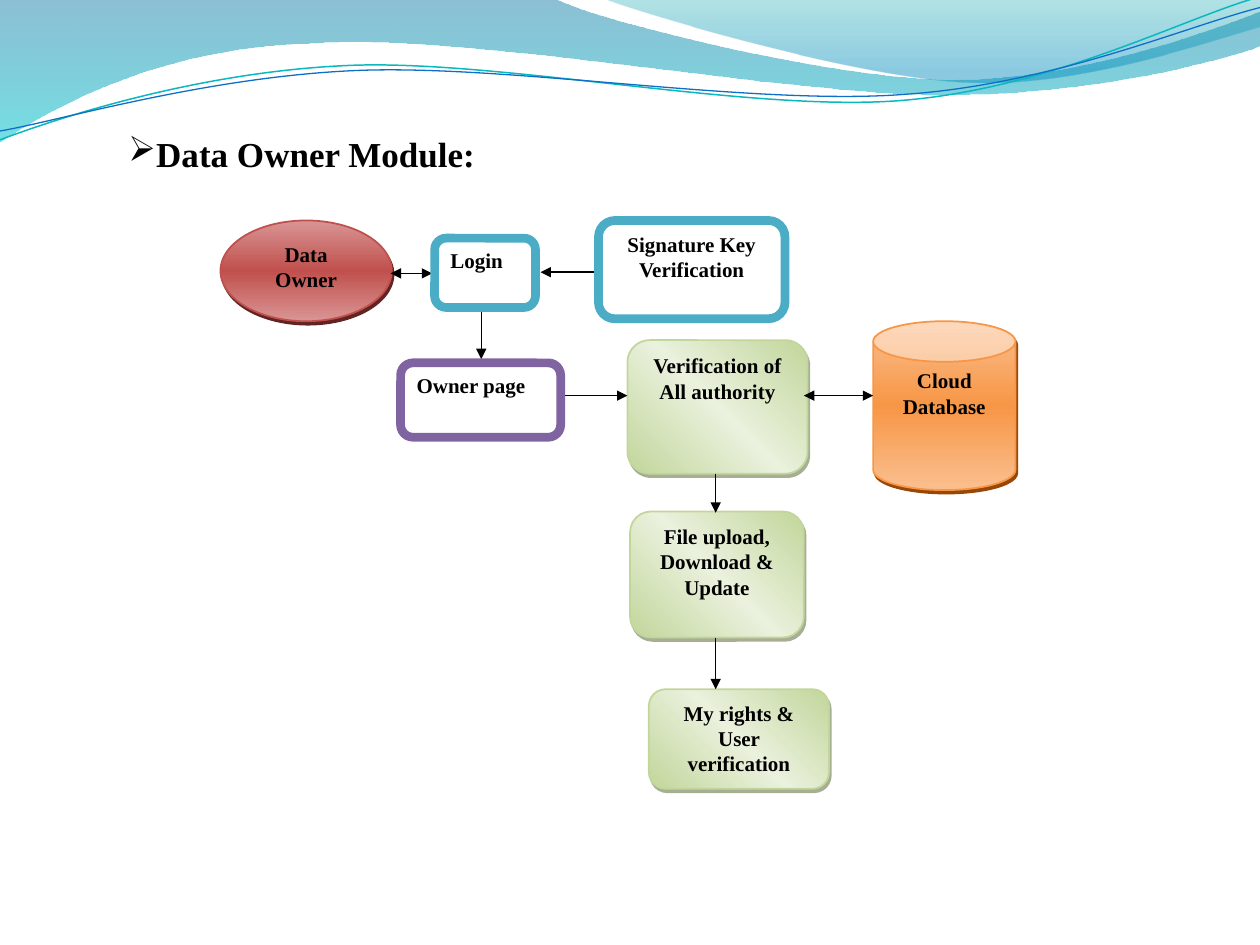
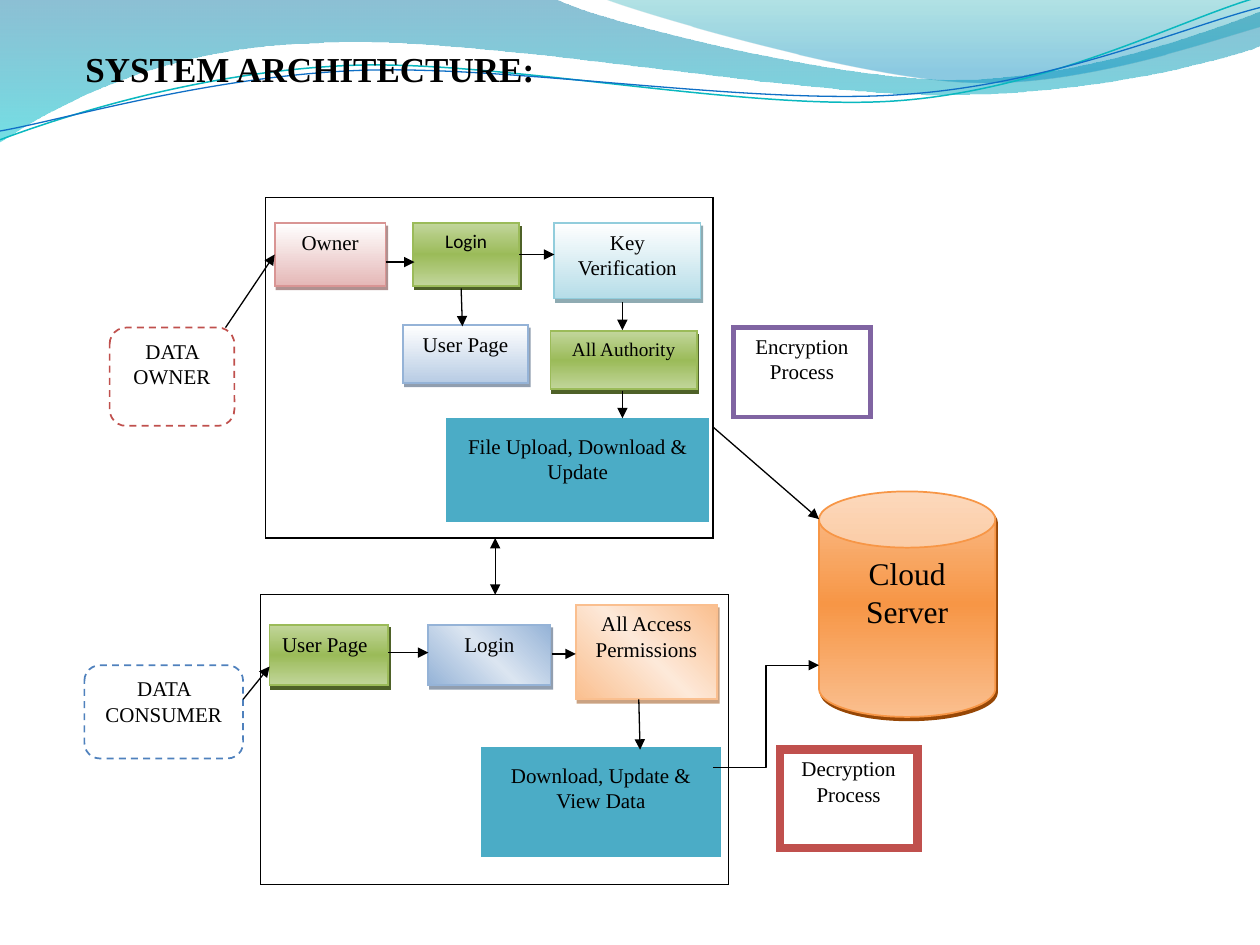
from dataclasses import dataclass
from lxml import etree
from pptx import Presentation
from pptx import util as u
from pptx.dml.color import RGBColor
from pptx.enum import dml, shapes, text
from pptx.oxml import ns, parse_xml

CELL = u.Inches(0.1)
COLS, ROWS = 100, 75
SERIF, SANS = "Times New Roman", "Calibri"
RECT = shapes.MSO_SHAPE.RECTANGLE
ROUND = shapes.MSO_SHAPE.ROUNDED_RECTANGLE
OVAL = shapes.MSO_SHAPE.OVAL
CAN = shapes.MSO_SHAPE.CAN
LEFT, MID = text.PP_ALIGN.LEFT, text.PP_ALIGN.CENTER

BLACK = RGBColor(0x00, 0x00, 0x00)
WHITE = RGBColor(0xFF, 0xFF, 0xFF)
SEA = RGBColor(0x00, 0x74, 0xA1)
AQUA = RGBColor(0x00, 0xC6, 0xCF)
TEAL = RGBColor(0x00, 0xA1, 0xA9)
SKY = RGBColor(0x00, 0x8B, 0xBF)
CYAN = RGBColor(0x0A, 0xB8, 0xBF)
BLUE = RGBColor(0x0F, 0x6F, 0xC6)
RED = RGBColor(0xC0, 0x50, 0x4D)
ROSE = RGBColor(0xD9, 0x95, 0x94)
BLUSH = RGBColor(0xE5, 0xB8, 0xB7)
WINE = RGBColor(0x62, 0x24, 0x23)
LEAF = RGBColor(0x9B, 0xBB, 0x59)
SAGE = RGBColor(0xC2, 0xD6, 0x9B)
MIST = RGBColor(0xEA, 0xF1, 0xDD)
MOSS = RGBColor(0x4E, 0x61, 0x28)
AMBER = RGBColor(0xF7, 0x96, 0x46)
PEACH = RGBColor(0xFA, 0xBF, 0x8F)
CREAM = RGBColor(0xFD, 0xE9, 0xD9)
RUST = RGBColor(0x97, 0x47, 0x06)
LAKE = RGBColor(0x4B, 0xAC, 0xC6)
POOL = RGBColor(0x92, 0xCD, 0xDC)
ICE = RGBColor(0xB6, 0xDD, 0xE8)
DEEP = RGBColor(0x20, 0x58, 0x67)
PLUM = RGBColor(0x80, 0x64, 0xA2)
STEEL = RGBColor(0x4F, 0x81, 0xBD)
HAZE = RGBColor(0x95, 0xB3, 0xD7)
FROST = RGBColor(0xB8, 0xCC, 0xE4)
PALE = RGBColor(0xDB, 0xE5, 0xF1)
NAVY = RGBColor(0x24, 0x3F, 0x60)


@dataclass
class Style:
    fill: tuple
    line: RGBColor
    width: float = 1
    angle: int = 90
    shade: RGBColor = None
    alpha: int = 50
    dash: bool = False


@dataclass
class Font:
    size: int = 12
    bold: bool = False
    face: str = SERIF
    align: int = MID


def glow(edge, core, line, shade):
    return Style((edge, core, edge), line, shade=shade, alpha=100)


def sheen(edge, core, shade):
    return Style((edge, core, edge), edge, angle=315, shade=shade)


def fade(base, line, shade):
    return Style((WHITE, base), line, shade=shade)


def plain(line, width, dash=False, fill=WHITE):
    return Style((fill,), line, width, dash=dash)


ORANGE = glow(PEACH, AMBER, AMBER, RUST)
GREEN = glow(SAGE, LEAF, LEAF, MOSS)
SOFT = sheen(SAGE, MIST, MOSS)
FRAME = plain(BLACK, 0.75)
BLOCK = plain(LAKE, 10, fill=LAKE)
BODY, BOLD = Font(), Font(bold=True)


def cells(*nums):
    return [round(n * CELL) for n in nums]


def tint(shape, stops, angle):
    shape.fill.gradient()
    old = shape.element.spPr.find(ns.qn("a:gradFill"))
    marks = "".join(
        f'<a:gs pos="{pos * 1000}"><a:srgbClr val="{hue}">'
        f'<a:alpha val="{alpha * 1000}"/></a:srgbClr></a:gs>'
        for pos, hue, alpha in stops)
    new = parse_xml(
        f'<a:gradFill {ns.nsdecls("a")} rotWithShape="1"><a:gsLst>{marks}</a:gsLst>'
        f'<a:lin ang="{angle * 60000}" scaled="0"/></a:gradFill>')
    old.getparent().replace(old, new)


def drop(shape, hue, alpha):
    glass = shape.element.spPr.find(ns.qn("a:effectLst"))
    glass.append(parse_xml(
        f'<a:outerShdw {ns.nsdecls("a")} blurRad="0" dist="{u.Pt(2.2)}" '
        f'dir="{63 * 60000}" algn="ctr" rotWithShape="0"><a:srgbClr val="{hue}">'
        f'<a:alpha val="{alpha * 1000}"/></a:srgbClr></a:outerShdw>'))


def write(par, words, font):
    run = par.add_run()
    run.text = words
    run.font.size = u.Pt(font.size)
    run.font.bold = font.bold
    run.font.name = font.face
    run.font.color.rgb = BLACK


def node(slide, box, kind, spot, style, words="", font=BODY, adj=None):
    col, row, wide, high = spot
    shape = slide.shapes.add_shape(
        kind, *cells(box[0] + col, box[1] + row, wide, high))
    shape.shadow.inherit = False
    if adj:
        shape.adjustments[0] = adj
    if len(style.fill) == 1:
        shape.fill.solid()
        shape.fill.fore_color.rgb = style.fill[0]
    else:
        step = 100 // (len(style.fill) - 1)
        tint(shape, [(i * step, hue, 100) for i, hue in enumerate(style.fill)],
             style.angle)
    shape.line.color.rgb = style.line
    shape.line.width = u.Pt(style.width)
    if style.dash:
        shape.line.dash_style = dml.MSO_LINE.DASH
    etree.SubElement(shape.element.spPr.find(ns.qn("a:ln")),
                     ns.qn("a:miter"), lim="800000")
    if style.shade:
        drop(shape, style.shade, style.alpha)
    if words:
        frame = shape.text_frame
        frame.word_wrap = True
        frame.vertical_anchor = text.MSO_ANCHOR.TOP
        par = frame.paragraphs[0]
        par.alignment = font.align
        par.space_after = u.Pt(10)
        write(par, words, font)


def arrow(slide, box, ends, both=False, bent=False):
    x, y = box[:2]
    kind = shapes.MSO_CONNECTOR.ELBOW if bent else shapes.MSO_CONNECTOR.STRAIGHT
    link = slide.shapes.add_connector(
        kind, *cells(x + ends[0], y + ends[1], x + ends[2], y + ends[3]))
    link.line.color.rgb = BLACK
    link.line.width = u.Pt(0.75)
    prop = link.element.spPr
    for tag in ("a:headEnd", "a:tailEnd")[0 if both else 1:]:
        etree.SubElement(prop.find(ns.qn("a:ln")), ns.qn(tag), type="triangle")
    etree.SubElement(prop, ns.qn("a:effectLst"))


def trace(slide, box, start, parts, close):
    spots = [start]
    for part in parts:
        spots += zip(part[::2], part[1::2])
    spots = [cells(box[0] + x, box[1] + y) for x, y in spots]
    pen = slide.shapes.build_freeform(*spots[0], scale=1.0)
    pen.add_line_segments(spots[1:], close=close)
    shape = pen.convert_to_shape()
    shape.shadow.inherit = False
    steps = iter(list(shape.element.spPr.iter(ns.qn("a:lnTo"))))
    for part in parts:
        first = next(steps)
        if len(part) == 6:
            curve = etree.Element(ns.qn("a:cubicBezTo"))
            first.addprevious(curve)
            for step in (first, next(steps), next(steps)):
                curve.append(step[0])
                step.getparent().remove(step)
    return shape


def header(slide, box):
    bands = [
        ((0, 0), [(44, -.1), (47.6, 1.7, 66.4, 6.3, 75.8, 6.3),
                  (85.3, 6.3, 95.8, 2.6, 100, .9), (100.1, 3.6),
                  (98.3, 4.4, 87, 7.6, 74.6, 7.5), (62.2, 7.5, 38.2, 2.8, 25.7, 3.4),
                  (12.9, 3.6, 4.6, 8.3, -.1, 11.3)],
         [(0, SEA, 45), (100, AQUA, 55)]),
        ((47.9, -.1), [(50.9, 1.1, 68.2, 6.2, 76.9, 6.5),
                       (85.6, 6.9, 96.1, 3.2, 100, 2.1), (100, 0)],
         [(0, TEAL, 30), (80, SKY, 45)])]
    for start, parts, stops in bands:
        band = trace(slide, box, start, parts, True)
        tint(band, stops, 90)
        band.line.fill.background()
        yield band
    waves = [
        ((0, 11.1), [(4.8, 9.3, 15.8, 5.7, 27.7, 5.2), (39.5, 4.7, 59.3, 8.9, 71.3, 8),
                     (83.3, 7.1, 93.8, 1.5, 99.8, -.2)], CYAN, 0.85),
        ((0, 10.4), [(4.7, 9.6, 16.4, 6.1, 28.3, 5.6), (40.3, 5.1, 59.7, 8.4, 71.7, 7.5),
                     (83.6, 6.7, 94.1, 2.1, 100, .6)], BLUE, 0.75)]
    for start, parts, hue, width in waves:
        wave = trace(slide, box, start, parts, False)
        wave.fill.background()
        wave.line.color.rgb = hue
        wave.line.width = u.Pt(width)
        yield wave


def title(slide, box, words, mark=None):
    frame = slide.shapes.add_textbox(*cells(*box)).text_frame
    frame.word_wrap = True
    frame.vertical_anchor = text.MSO_ANCHOR.TOP
    par = frame.paragraphs[0]
    write(par, words, Font(20, True))
    if mark:
        prop = par._p.get_or_add_pPr()
        prop.set("marL", "0")
        prop.set("indent", "0")
        etree.SubElement(prop, ns.qn("a:buFont"), typeface="Wingdings", charset="2")
        etree.SubElement(prop, ns.qn("a:buChar"), char=mark)


def flow(slide, box):
    start = Font(bold=True, align=LEFT)
    node(slide, box, CAN, (52.3, 8.5, 11.3, 13.4), ORANGE, "Cloud Database", BOLD, .285)
    node(slide, box, OVAL, (.5, .5, 13.6, 8), glow(ROSE, RED, RED, WINE),
         "Data Owner", BOLD)
    for spot, words in [
            ((33, 23.6, 13.8, 10), "File upload, Download & Update"),
            ((32.8, 10, 14.3, 10.6), "Verification of All authority"),
            ((34.5, 37.7, 14.3, 7.9), "My rights & User verification")]:
        node(slide, box, ROUND, spot, SOFT, words, BOLD)
    for ends in [(21.2, 7.4, 21.2, 11.5), (39.8, 20.6, 39.8, 23.7),
                 (39.8, 33.6, 39.8, 37.7), (27.5, 14.4, 32.8, 14.4),
                 (30.5, 4.6, 25.9, 4.6)]:
        arrow(slide, box, ends)
    for ends in [(14, 4.7, 17.3, 4.7), (46.8, 14.4, 52.3, 14.4)]:
        arrow(slide, box, ends, both=True)
    for spot, hue, words, font in [
            ((14.8, 11.8, 12.7, 5.9), PLUM, "Owner page", start),
            ((30.5, .5, 14.8, 7.8), LAKE, "Signature Key Verification", BOLD),
            ((17.5, 1.9, 8, 5.5), LAKE, "Login", start)]:
        node(slide, box, ROUND, spot, plain(hue, 5), words, font)


def lane(slide, box, frame, role, steps, links):
    node(slide, box, RECT, frame, FRAME)
    node(slide, box, ROUND, *role)
    for step in steps:
        node(slide, box, RECT, *step)
    for ends in links:
        arrow(slide, box, ends)


def owner(slide, box):
    lane(slide, box, (13.1, .7, 35.5, 27),
         ((.7, 11, 9.9, 7.8), plain(RED, 1, True), "DATA OWNER"),
         [((13.8, 2.7, 8.8, 5), fade(BLUSH, ROSE, WINE), "Owner"),
          ((24.8, 2.7, 8.4, 5), GREEN, "Login", Font(11, face=SANS)),
          ((36, 2.7, 11.6, 6), fade(ICE, POOL, DEEP), "Key Verification"),
          ((24, 10.8, 9.9, 4.6), fade(FROST, HAZE, NAVY), "User Page"),
          ((35.7, 11.3, 11.6, 4.6), GREEN, "All Authority", Font(11)),
          ((28.1, 18.9, 19.5, 6.8), BLOCK, "File Upload, Download & Update")],
         [(9.9, 11, 13.8, 5.2), (22.6, 5.8, 24.9, 5.8), (33.2, 5.2, 36, 5.2),
          (28.6, 7.9, 28.7, 10.9), (41.4, 9, 41.4, 11.2), (41.4, 16, 41.4, 18.2)])


def buyer(slide, box):
    lane(slide, box, (14.7, .2, 37.1, 23),
         ((.7, 5.8, 12.6, 7.4), plain(STEEL, 1, True), "DATA CONSUMER"),
         [((15.4, 2.6, 9.4, 4.8), GREEN, "User Page", Font(align=LEFT)),
          ((28, 2.6, 9.7, 4.8), sheen(HAZE, PALE, NAVY), "Login"),
          ((39.7, 1, 11.2, 7.5), sheen(PEACH, CREAM, RUST), "All Access Permissions"),
          ((32.9, 13, 17.6, 7.3), BLOCK, "Download, Update & View Data")],
         [(24.8, 4.8, 28, 4.8), (37.8, 4.9, 39.7, 4.9), (44.7, 8.5, 44.8, 12.5),
          (13.3, 8.5, 15.4, 5.9)])


def cloud(slide, box):
    node(slide, box, CAN, (9, 13, 14, 17.9), ORANGE, "Cloud Server", Font(18), .319)
    node(slide, box, RECT, (2.2, 0, 10.9, 7.1), plain(PLUM, 2.5), "Encryption Process")
    node(slide, box, RECT, (5.9, 33.5, 10.9, 7.8), plain(RED, 5), "Decryption Process")
    arrow(slide, box, (.6, 7.9, 9, 15.2))
    arrow(slide, box, (.6, 34.9, 9, 26.8), bent=True)


deck = Presentation()
deck.slide_width, deck.slide_height = cells(COLS, ROWS)
blank = deck.slide_layouts[6]

module = deck.slides.add_slide(blank)
for i, part in enumerate(list(header(module, (0, 0, COLS, 11.4)))):
    part.element.nvSpPr.cNvPr.set("id", str(101 + i))
    blank.shapes.element.append(part.element)
title(module, (9.2, 10, 70.8, 4.4), "Data Owner Module:", "Ø")
flow(module, (17, 17, 64, 46))

system = deck.slides.add_slide(blank)
title(system, (5.8, 3.3, 81.7, 7.7), "SYSTEM ARCHITECTURE:")
owner(system, (8, 15, 49, 28))
buyer(system, (6, 47, 52, 24))
cloud(system, (56, 26, 24, 42))
arrow(system, (39.3, 42.7), (0, 0, 0, 4.5), both=True)

deck.save("out.pptx")
